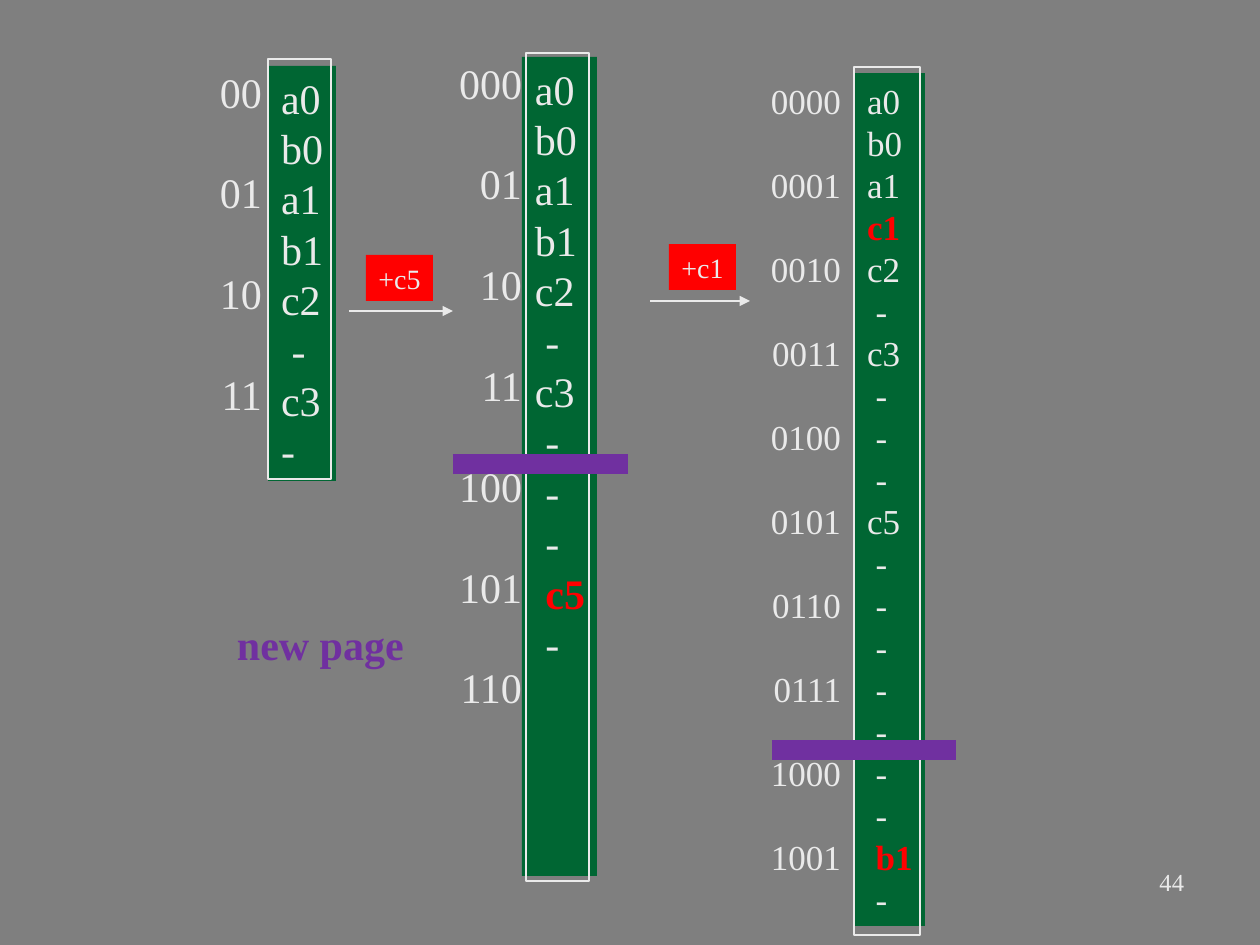
from dataclasses import dataclass

from lxml import etree
from pptx import Presentation
from pptx.dml.color import RGBColor
from pptx.enum.shapes import MSO_CONNECTOR, MSO_SHAPE
from pptx.enum.text import MSO_ANCHOR, PP_ALIGN
from pptx.oxml.ns import qn
from pptx.util import Pt

PX = 914400 / 126
FONT = "Times New Roman"
COLORS = {
    "back": "7F7F7F", "text": "EAEAEA", "page": "006633",
    "new": "FF0000", "split": "7030A0",
}
RECT = MSO_SHAPE.RECTANGLE
LINE = MSO_CONNECTOR.STRAIGHT
LEFT, CENTER, RIGHT = PP_ALIGN.LEFT, PP_ALIGN.CENTER, PP_ALIGN.RIGHT
TOP, MIDDLE = MSO_ANCHOR.TOP, MSO_ANCHOR.MIDDLE


@dataclass(frozen=True)
class Box:
    x: int
    y: int
    w: int
    h: int


@dataclass(frozen=True)
class Entry:
    text: str
    inset: bool = False
    new: bool = False


@dataclass(frozen=True)
class Table:
    """One state of the hash file: bucket labels beside their entries."""
    fill: Box
    frame: Box
    labels: Box
    size: int
    codes: list[str]
    rows: list[Entry]


@dataclass(frozen=True)
class Step:
    text: str
    tag: Box
    start: int
    end: int
    y: int


@dataclass(frozen=True)
class Split:
    start: int
    end: int
    y: int


def entries(names: str) -> list[Entry]:
    return [Entry(name, inset=name == "-") for name in names.split()]


TABLES = [
    Table(Box(268, 66, 68, 415), Box(268, 59, 63, 420), Box(198, 60, 77, 366),
          24, ["00", "01", "10", "11"],
          entries("a0 b0 a1 b1 c2 - c3") + [Entry("-")]),
    Table(Box(522, 57, 75, 819), Box(526, 53, 63, 828), Box(437, 51, 98, 820),
          24, ["000", "01", "10", "11", "100", "101", "110"],
          entries("a0 b0 a1 b1 c2 - c3 - - -")
          + [Entry("c5", inset=True, new=True)] + entries("-")),
    Table(Box(854, 73, 71, 853), Box(854, 67, 66, 868), Box(754, 73, 100, 864),
          20, [f"{code:04b}" for code in range(10)],
          entries("a0 b0 a1") + [Entry("c1", new=True)]
          + entries("c2 - c3 - - - c5 - - - - - - -")
          + [Entry("b1", inset=True, new=True)] + entries("-")),
]
STEPS = [
    Step("+c5", Box(366, 255, 67, 46), 349, 453, 311),
    Step("+c1", Box(669, 244, 67, 46), 650, 750, 301),
]
SPLITS = [Split(453, 628, 464), Split(772, 956, 750)]


def px(n: int) -> int:
    return round(n * PX)


def color(name: str) -> RGBColor:
    return RGBColor.from_string(COLORS[name])


def place(box: Box) -> tuple[int, int, int, int]:
    return px(box.x), px(box.y), px(box.w), px(box.h)


def rect(slide, box: Box, fill: str = "", line: str = ""):
    shape = slide.shapes.add_shape(RECT, *place(box))
    shape.shadow.inherit = False
    if fill:
        shape.fill.solid()
        shape.fill.fore_color.rgb = color(fill)
    else:
        shape.fill.background()
    if line:
        shape.line.color.rgb = color(line)
        shape.line.width = Pt(0.75)
    else:
        shape.line.fill.background()
    return shape


def write(shape, rows: list[Entry], size: int, align=LEFT, anchor=TOP,
          skip: int = 0, side: int = 13, tint: str = "text",
          bold: bool = False) -> None:
    """Fill a shape with rows, leaving `skip` free lines between them."""
    frame = shape.text_frame
    frame.word_wrap = True
    frame.vertical_anchor = anchor
    frame.margin_left = px(side)
    frame.margin_right = px(side if align == RIGHT else 0)
    pitch = size * 1.2
    for i, row in enumerate(rows):
        para = frame.add_paragraph() if i else frame.paragraphs[0]
        para.text = row.text
        para.alignment = align
        para.line_spacing = Pt(pitch)
        if i and skip:
            para.space_before = Pt(pitch * skip)
        if row.inset:
            para._p.get_or_add_pPr().set("marL", str(Pt(size / 4)))
        font = para.font
        font.name = FONT
        font.size = Pt(size)
        font.bold = bold or row.new
        font.color.rgb = color("new" if row.new else tint)


def label(slide, box: Box, rows: list[Entry], size: int, **style) -> None:
    write(slide.shapes.add_textbox(*place(box)), rows, size, **style)


def stroke(slide, start: int, end: int, y: int, tint: str, width: float,
           arrow: bool = False) -> None:
    line = slide.shapes.add_connector(LINE, px(start), px(y), px(end), px(y))
    line.line.color.rgb = color(tint)
    line.line.width = Pt(width)
    if arrow:
        etree.SubElement(line.line._get_or_add_ln(), qn("a:tailEnd"),
                         type="triangle")
    etree.SubElement(line._element.spPr, qn("a:effectLst"))


def draw(slide, table: Table) -> None:
    write(rect(slide, table.fill, fill="page"), table.rows, table.size)
    rect(slide, table.frame, line="text")
    label(slide, table.labels, [Entry(code) for code in table.codes],
          table.size, align=RIGHT, skip=1)


def main() -> None:
    deck = Presentation()
    deck.slide_width, deck.slide_height = px(1260), px(945)
    slide = deck.slides.add_slide(deck.slide_layouts[6])
    slide.background.fill.solid()
    slide.background.fill.fore_color.rgb = color("back")

    for table in TABLES:
        draw(slide, table)
    for step in STEPS:
        stroke(slide, step.start, step.end, step.y, "text", 0.75, arrow=True)
        write(rect(slide, step.tag, fill="new"), [Entry(step.text)], 16,
              align=CENTER, anchor=MIDDLE, side=0)
    for split in SPLITS:
        stroke(slide, split.start, split.end, split.y, "split", 11.5)
    label(slide, Box(224, 612, 192, 63), [Entry("new page")], 24,
          tint="split", bold=True)
    label(slide, Box(903, 861, 294, 65), [Entry("44")], 14, align=RIGHT)
    deck.save("out.pptx")


if __name__ == "__main__":
    main()
